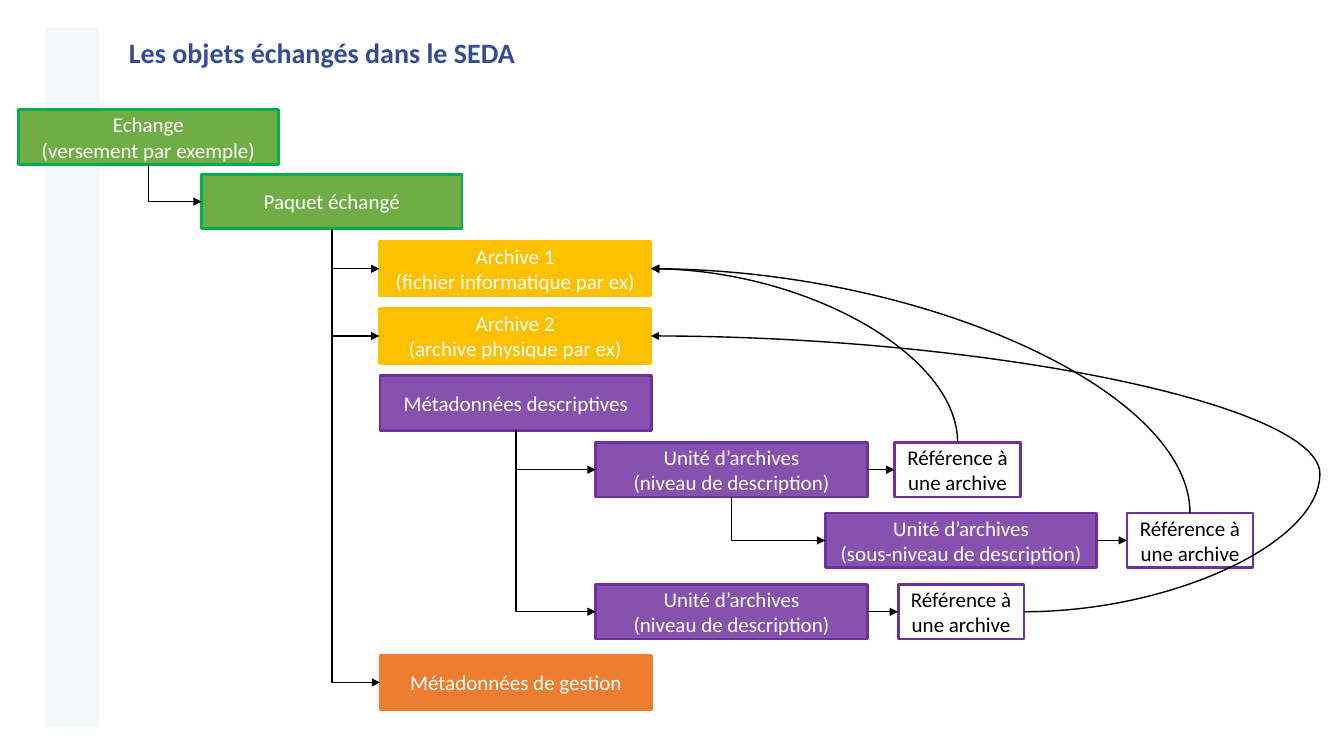
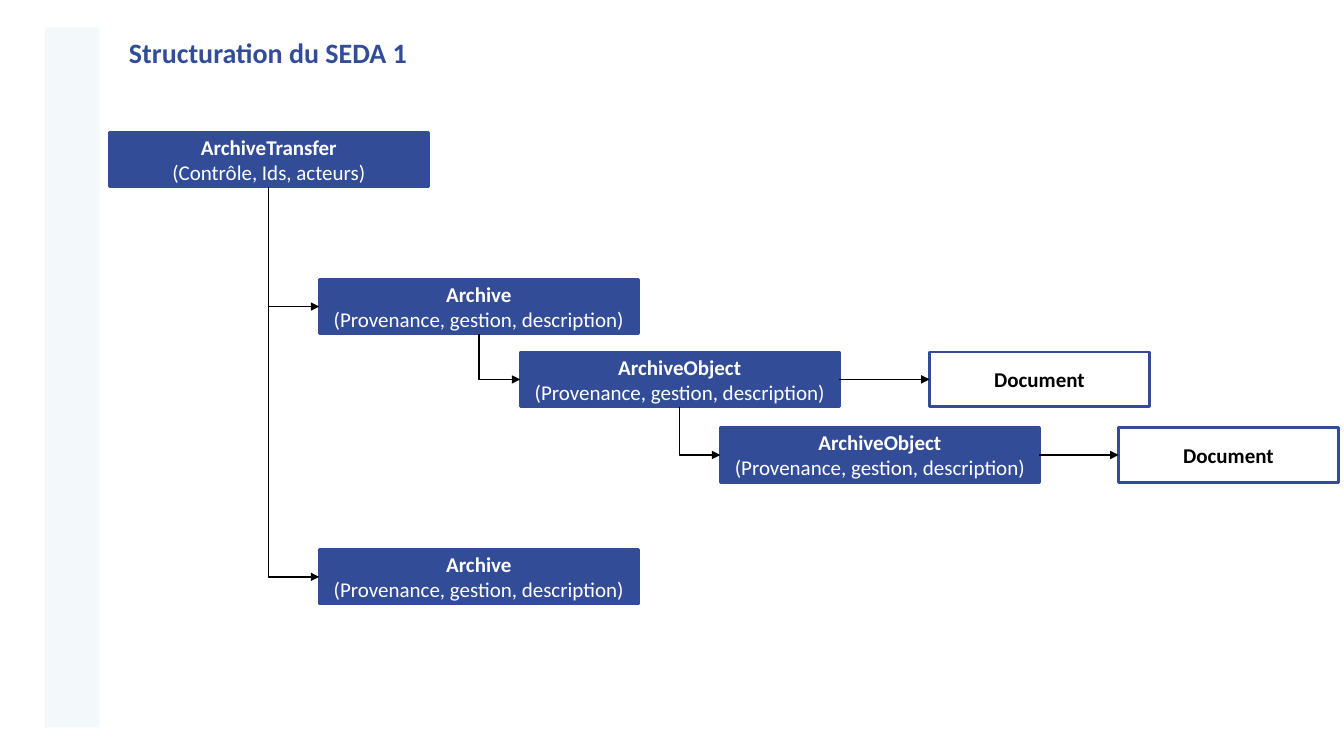
from lxml.etree import SubElement
from pptx import Presentation
from pptx.dml.color import RGBColor
from pptx.enum.shapes import MSO_CONNECTOR, MSO_SHAPE
from pptx.enum.text import MSO_ANCHOR, MSO_AUTO_SIZE, PP_ALIGN
from pptx.oxml.ns import qn
from pptx.util import Pt

COLORS = {
    "navy": "334C98", "band": "F3F8FA", "white": "FFFFFF", "black": "000000",
    "green": "70AD47", "green_edge": "00B050", "gold": "FFC000",
    "orange": "ED7D31", "purple": "7030A0",
}
TOP, LEFT, BOTTOM, RIGHT = range(4)
BOX_HEIGHT = 39


def color(name):
    return RGBColor.from_string(COLORS[name])


def write_text(frame, text, size=15, ink="white", bold_heading=False, align=PP_ALIGN.CENTER):
    frame.word_wrap = True
    for index, line in enumerate(text.split("\n")):
        paragraph = frame.add_paragraph() if index else frame.paragraphs[0]
        paragraph.alignment = align
        run = paragraph.add_run()
        run.text = line
        run.font.name = "Calibri"
        run.font.size = Pt(size)
        run.font.bold = bold_heading and index == 0
        run.font.color.rgb = color(ink)


def site_position(shape, site):
    across = {LEFT: 0, RIGHT: shape.width}.get(site, shape.width // 2)
    down = {TOP: 0, BOTTOM: shape.height}.get(site, shape.height // 2)
    return shape.left + across, shape.top + down


class Deck:
    def __init__(self):
        self.presentation = Presentation()
        self.presentation.slide_width = Pt(960)
        self.presentation.slide_height = Pt(540)
        self.slide = None

    def start_slide(self, title):
        self.slide = self.presentation.slides.add_slide(self.presentation.slide_layouts[6])
        self.rectangle(32, 19.5, 39, 500, "band")
        frame = self.slide.shapes.add_textbox(Pt(85), Pt(21.5), Pt(847), Pt(31)).text_frame
        write_text(frame, title, size=20, ink="navy", bold_heading=True, align=PP_ALIGN.LEFT)
        frame.auto_size = MSO_AUTO_SIZE.SHAPE_TO_FIT_TEXT

    def rectangle(self, left, top, width, height, fill, edge=None, alpha=None):
        shape = self.slide.shapes.add_shape(
            MSO_SHAPE.RECTANGLE, Pt(left), Pt(top), Pt(width), Pt(height))
        shape.shadow.inherit = False
        shape.fill.solid()
        shape.fill.fore_color.rgb = color(fill)
        if alpha:
            fill_color = shape.element.spPr.find(qn("a:solidFill"))[0]
            SubElement(fill_color, qn("a:alpha")).set("val", str(alpha * 1000))
        if edge:
            shape.line.color.rgb = color(edge)
            shape.line.width = Pt(2)
        else:
            shape.line.fill.background()
        return shape

    def box(self, text, left, top, width, fill, edge=None, alpha=None, **text_format):
        shape = self.rectangle(left, top, width, BOX_HEIGHT, fill, edge or fill, alpha)
        shape.text_frame.vertical_anchor = MSO_ANCHOR.MIDDLE
        write_text(shape.text_frame, text, **text_format)
        return shape

    def connector(self, kind, start, start_site, end, end_site):
        connector = self.slide.shapes.add_connector(
            kind, *site_position(start, start_site), *site_position(end, end_site))
        connector.begin_connect(start, start_site)
        connector.end_connect(end, end_site)
        connector.line.color.rgb = color("black")
        connector.line.width = Pt(1)
        line = connector.line._get_or_add_ln()
        SubElement(line, qn("a:tailEnd")).set("type", "triangle")
        SubElement(connector.element.spPr, qn("a:effectLst"))
        return connector

    def arrow(self, start, end):
        self.connector(MSO_CONNECTOR.STRAIGHT, start, RIGHT, end, LEFT)

    def quarter_turn(self, connector, preset, flip):
        left, top, width, height = (
            connector.left, connector.top, connector.width, connector.height)
        connector.left = left + (width - height) // 2
        connector.top = top + (height - width) // 2
        connector.width, connector.height = height, width
        properties = connector.element.spPr
        properties.find(qn("a:prstGeom")).set("prst", preset)
        transform = properties.find(qn("a:xfrm"))
        for name in ("flipH", "flipV"):
            transform.set(name, str(int(name == flip)))
        transform.set("rot", str(270 * 60000))

    def branch(self, parent, child):
        connector = self.connector(MSO_CONNECTOR.ELBOW, parent, BOTTOM, child, LEFT)
        self.quarter_turn(connector, "bentConnector2", "flipH")

    def arc(self, start, end):
        connector = self.connector(MSO_CONNECTOR.CURVE, start, TOP, end, RIGHT)
        self.quarter_turn(connector, "curvedConnector2", "flipV")

    def loop(self, start, end, bend):
        connector = self.connector(MSO_CONNECTOR.CURVE, start, RIGHT, end, RIGHT)
        geometry = connector.element.spPr.find(qn("a:prstGeom"))
        adjustments = geometry.find(qn("a:avLst"))
        if adjustments is None:
            adjustments = SubElement(geometry, qn("a:avLst"))
        guide = SubElement(adjustments, qn("a:gd"))
        guide.set("name", "adj1")
        guide.set("fmla", f"val {bend}")


def build_exchanged_objects(deck):
    deck.start_slide("Les objets échangés dans le SEDA")

    def description(text, left, top):
        return deck.box(text, left, top, 194, "purple", alpha=84)

    def reference(left, top):
        return deck.box("Référence à une archive", left, top, 90, "white", "purple", ink="black")

    exchange = deck.box("Echange\n(versement par exemple)", 13, 78.5, 186, "green", "green_edge")
    package = deck.box("Paquet échangé", 144, 124.5, 186, "green", "green_edge")
    digital = deck.box("Archive 1\n(fichier informatique par ex)", 271, 172.5, 194, "gold")
    physical = deck.box("Archive 2\n(archive physique par ex)", 271, 220.5, 194, "gold")
    metadata = description("Métadonnées descriptives", 271.5, 268.5)
    unit_text = "Unité d’archives\n(niveau de description)"
    first_unit = description(unit_text, 425.5, 316)
    sub_unit = description("Unité d’archives\n(sous-niveau de description)", 589.5, 366.5)
    last_unit = description(unit_text, 425.5, 417.5)
    management = deck.box("Métadonnées de gestion", 271.5, 468, 194, "orange")
    first_reference = reference(639, 316)
    sub_reference = reference(805, 366.5)
    last_reference = reference(641.5, 417.5)

    for parent, children in (
        (exchange, [package]),
        (package, [digital, physical, management]),
        (metadata, [first_unit, last_unit]),
        (first_unit, [sub_unit]),
    ):
        for child in children:
            deck.branch(parent, child)
    for unit, target in (
        (first_unit, first_reference), (sub_unit, sub_reference), (last_unit, last_reference),
    ):
        deck.arrow(unit, target)
    deck.arc(sub_reference, digital)
    deck.arc(first_reference, digital)
    deck.loop(last_reference, physical, -79300)


def build_first_structure(deck):
    deck.start_slide("Structuration du SEDA 1")

    def element(name, left, top, detail="(Provenance, gestion, description)"):
        return deck.box(f"{name}\n{detail}", left, top, 228, "navy", bold_heading=True)

    def document(left, top):
        return deck.box("Document", left, top, 157, "white", "navy",
                        ink="black", bold_heading=True)

    transfer = element("ArchiveTransfer", 78, 94.5, "(Contrôle, Ids, acteurs)")
    archive = element("Archive", 228, 199.5)
    outer_object = element("ArchiveObject", 371.5, 251.5)
    inner_object = element("ArchiveObject", 514.5, 305.5)
    last_archive = element("Archive", 228, 392.5)
    outer_document = document(664, 251.5)
    inner_document = document(799, 305.5)

    for parent, child in (
        (transfer, archive), (transfer, last_archive),
        (archive, outer_object), (outer_object, inner_object),
    ):
        deck.branch(parent, child)
    deck.arrow(outer_object, outer_document)
    deck.arrow(inner_object, inner_document)


def main():
    deck = Deck()
    build_exchanged_objects(deck)
    build_first_structure(deck)
    deck.presentation.save("out.pptx")


if __name__ == "__main__":
    main()
